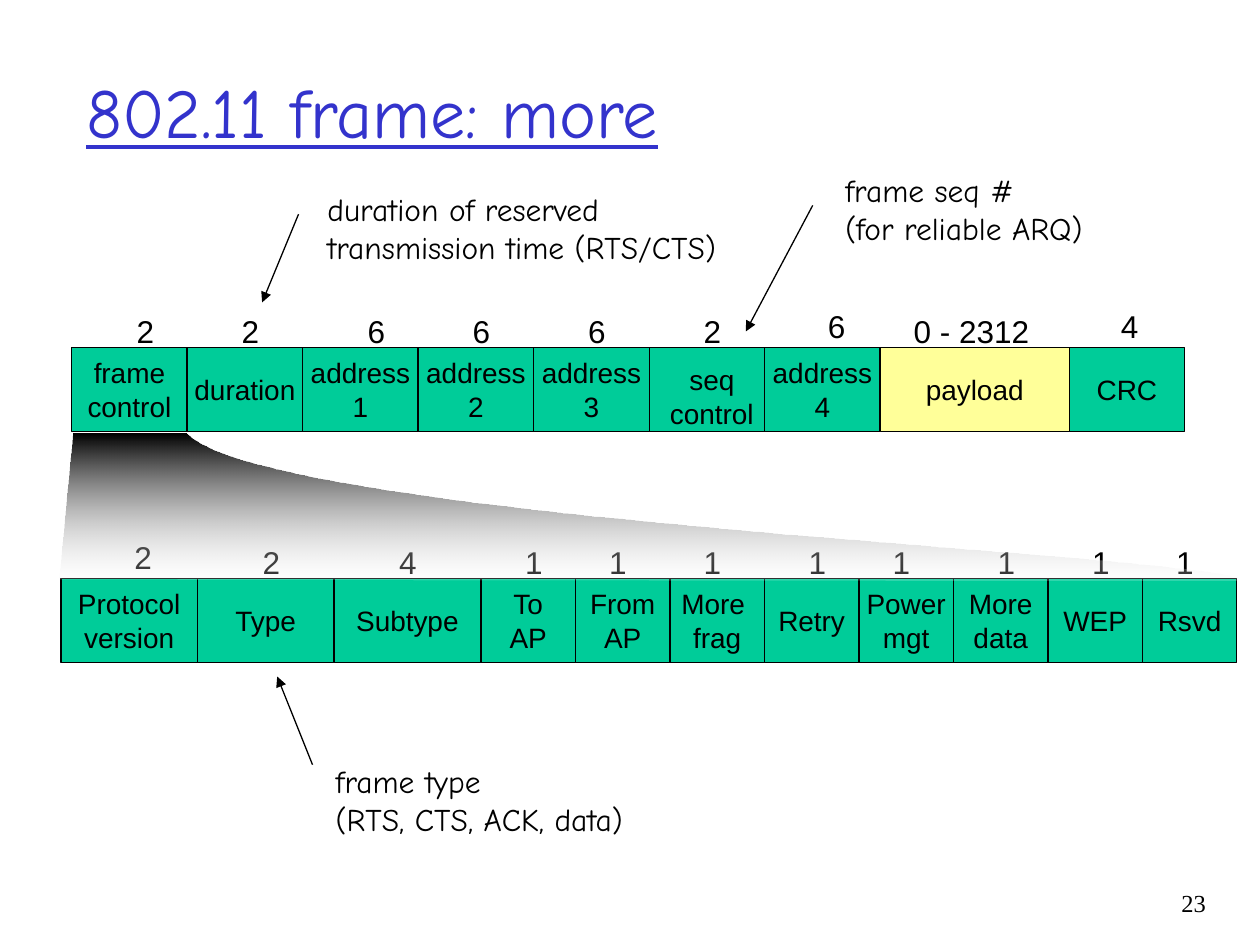
from dataclasses import dataclass

from lxml import etree
from pptx import Presentation
from pptx.dml.color import RGBColor
from pptx.enum import shapes, text
from pptx.oxml import ns
from pptx.util import Pt


@dataclass(frozen=True)
class Theme:
    ink: RGBColor = RGBColor(0, 0, 0)
    paper: RGBColor = RGBColor(255, 255, 255)
    title: RGBColor = RGBColor(0x33, 0x33, 0xCC)
    header: RGBColor = RGBColor(0x00, 0xCC, 0x99)
    payload: RGBColor = RGBColor(0xFF, 0xFF, 0x99)
    diagram_font: str = "Arial"
    note_font: str = "Comic Neue"
    number_font: str = "Times New Roman"
    title_size: int = 40
    label_size: int = 18
    field_size: int = 16
    number_size: int = 14
    line_width: float = 0.75


THEME = Theme()
FIELD_HEIGHT = 48

# Each field: label, width, length, left and top of the length
FRAME_FIELDS = [
    ("frame\ncontrol", 66, "2", 71, 174.8),
    ("duration", 66, "2", 131, 174.8),
    ("address\n1", 66, "6", 203, 174.8),
    ("address\n2", 66, "6", 263, 174.8),
    ("address\n3", 66, "6", 329, 174.8),
    ("", 66, "2", 395, 174.8),  # its label sits lower, in its own box
    ("address\n4", 66, "6", 466, 171.8),
    ("payload", 108, "0 - 2312", 515, 174.8),
    ("CRC", 66, "4", 633.5, 171.8),
]
CONTROL_FIELDS = [
    ("Protocol\nversion", 78, "2", 69.8, 303.9),
    ("Type", 78, "2", 143, 306.8),
    ("Subtype", 84, "4", 221, 306.8),
    ("To\nAP", 54, "1", 293, 306.8),
    ("From\nAP", 54, "1", 341, 306.8),
    ("More \nfrag", 54, "1", 395, 306.8),
    ("Retry", 54, "1", 455, 306.8),
    ("Power\nmgt", 54, "1", 503, 306.8),
    ("More\ndata", 54, "1", 563, 306.8),
    ("WEP", 54, "1", 617, 306.8),
    ("Rsvd", 54, "1", 665, 306.8),
]


def write(frame, words, size, font, color=THEME.ink, align=text.PP_ALIGN.LEFT):
    frame.text = words
    for paragraph in frame.paragraphs:
        paragraph.alignment = align
        paragraph.font.size = Pt(size)
        paragraph.font.name = font
        paragraph.font.color.rgb = color


def add_label(slide, words, left, top, width, height, font=THEME.note_font,
              size=THEME.label_size, align=text.PP_ALIGN.LEFT, wrap=False):
    label = slide.shapes.add_textbox(Pt(left), Pt(top), Pt(width), Pt(height))
    frame = label.text_frame
    frame.word_wrap = wrap
    if not wrap:
        frame.auto_size = text.MSO_AUTO_SIZE.SHAPE_TO_FIT_TEXT
    write(frame, words, size, font, align=align)


def add_field(slide, words, left, top, width):
    field = slide.shapes.add_shape(shapes.MSO_SHAPE.RECTANGLE, Pt(left), Pt(top),
                                   Pt(width), Pt(FIELD_HEIGHT))
    field.shadow.inherit = False
    field.fill.solid()
    field.fill.fore_color.rgb = THEME.payload if words == "payload" else THEME.header
    field.line.color.rgb = THEME.ink
    field.line.width = Pt(THEME.line_width)
    if words:
        frame = field.text_frame
        frame.word_wrap = False
        frame.vertical_anchor = text.MSO_ANCHOR.MIDDLE
        write(frame, words, THEME.field_size, THEME.diagram_font,
              align=text.PP_ALIGN.CENTER)


def add_field_row(slide, fields, left, top):
    for words, width, *_ in fields:
        add_field(slide, words, left, top, width)
        left += width
    for _, _, length, length_left, length_top in fields:
        add_label(slide, length, length_left, length_top,
                  84 if len(length) > 1 else 24.5, 29, THEME.diagram_font)


def bezier(start, control_1, control_2, end, steps=48):
    """Points along a cubic curve, without its start."""
    for step in range(1, steps + 1):
        t = step / steps
        weights = ((1 - t) ** 3, 3 * t * (1 - t) ** 2, 3 * t ** 2 * (1 - t), t ** 3)
        yield tuple(sum(w * point[axis] for w, point in
                        zip(weights, (start, control_1, control_2, end)))
                    for axis in (0, 1))


def add_zoom(slide):
    """Shaded fan from the frame control field to its subfields."""
    top_left, top_right = (42, 247.5), (106.8, 247.5)
    bottom_left, bottom_right = (34, 330.8), (707.8, 332)
    edge = bezier(bottom_right, (720, 317.5), (155.5, 298.8), top_right)
    outline = [bottom_left, bottom_right, *edge]
    builder = slide.shapes.build_freeform(*(Pt(value) for value in top_left))
    builder.add_line_segments([(Pt(x), Pt(y)) for x, y in outline], close=True)
    zoom = builder.convert_to_shape()
    zoom.shadow.inherit = False
    zoom.line.fill.background()
    zoom.fill.gradient()
    zoom.fill.gradient_angle = 270
    dark, clear = zoom.fill.gradient_stops
    dark.position, clear.position = 0, 1
    dark.color.rgb, clear.color.rgb = THEME.ink, THEME.paper
    clear_color = zoom._element.spPr.findall(".//" + ns.qn("a:srgbClr"))[-1]
    etree.SubElement(clear_color, ns.qn("a:alpha"), val="18000")


def add_arrow(slide, start, end):
    arrow = slide.shapes.add_connector(shapes.MSO_CONNECTOR.STRAIGHT,
                                       *(Pt(value) for value in start + end))
    arrow.line.color.rgb = THEME.ink
    arrow.line.width = Pt(THEME.line_width)
    etree.SubElement(arrow.line._get_or_add_ln(), ns.qn("a:tailEnd"), type="triangle")
    etree.SubElement(arrow._element.spPr, ns.qn("a:effectLst"))


def set_title(slide, words):
    title = slide.shapes.title
    title.left, title.top, title.width, title.height = Pt(42), Pt(18), Pt(612), Pt(90)
    frame = title.text_frame
    frame.auto_size = text.MSO_AUTO_SIZE.NONE
    frame.vertical_anchor = text.MSO_ANCHOR.MIDDLE
    write(frame, words, THEME.title_size, THEME.note_font, THEME.title)
    frame.paragraphs[0].font.underline = True


def main():
    deck = Presentation()
    deck.slide_width, deck.slide_height = Pt(720), Pt(540)
    slide = deck.slides.add_slide(deck.slide_layouts[5])
    set_title(slide, "802.11 frame: more")

    # Whole frame, then the subfields of frame control
    add_field_row(slide, FRAME_FIELDS, 41, 198.6)
    add_label(slide, "seq\ncontrol", 373.8, 203.8, 66, 46, THEME.diagram_font,
              THEME.field_size, text.PP_ALIGN.CENTER)
    add_field_row(slide, CONTROL_FIELDS, 34.8, 330.6)
    add_zoom(slide)

    # Notes with their arrows
    add_label(slide, "duration of reserved\ntransmission time (RTS/CTS)",
              180, 105, 238, 50.4)
    add_arrow(slide, (170.6, 122.4), (149.8, 172.8))
    add_label(slide, "frame seq #\n(for reliable ARQ)", 476, 94.2, 152, 50.4)
    add_arrow(slide, (464.4, 117.4), (426.2, 189.4))
    add_label(slide, "frame type\n(RTS, CTS, ACK, data)", 184.8, 431.8, 180, 50.4)
    add_arrow(slide, (178.6, 437), (158.4, 386.6))

    # Page number
    add_label(slide, "23", 643, 504, 53.2, 36, THEME.number_font,
              THEME.number_size, text.PP_ALIGN.RIGHT, wrap=True)
    deck.save("out.pptx")


if __name__ == "__main__":
    main()
